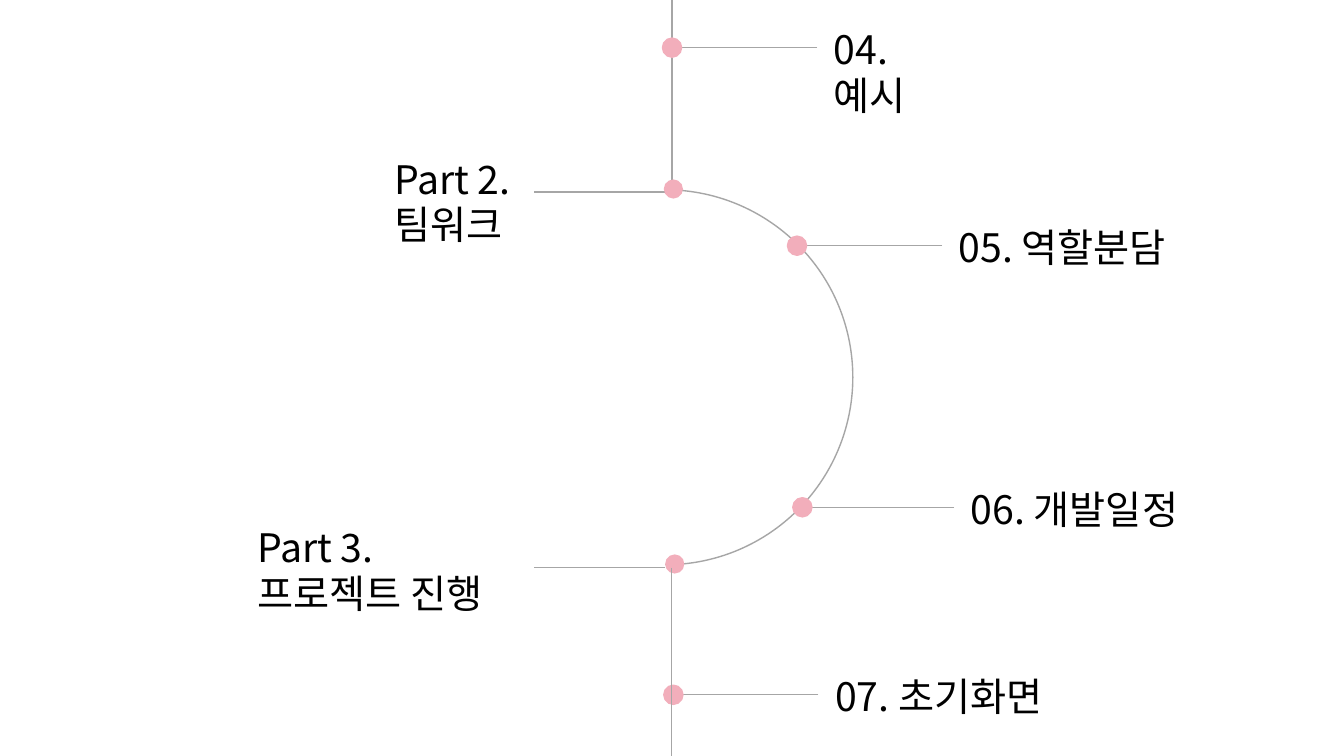
from lxml import etree
from pptx import Presentation, util as u
from pptx.dml.color import RGBColor
from pptx.enum import shapes, text
from pptx.oxml.ns import qn


def rgb(code):
    return RGBColor.from_string(code)


class Roadmap:
    """Style and current slide; positions count on a grid of 100 columns by 100 rows."""
    FONT, SIZE, LEADING = "Noto Sans CJK KR", u.Pt(28), u.Pt(32.8)
    INK, LINE, DOT = "000000", "A6A6A6", "F2AEBB"
    LINE_WIDTH = u.Pt(1)

    def __init__(self, prs):
        self.s = prs.slides.add_slide(prs.slide_layouts[6])
        self.col = prs.slide_width / 100
        self.row = prs.slide_height / 100

    def x(self, cols):
        return u.Emu(round(cols * self.col))

    def y(self, rows):
        return u.Emu(round(rows * self.row))

    def line(self, x1, y1, x2, y2):
        c = self.s.shapes.add_connector(
            shapes.MSO_CONNECTOR.STRAIGHT, self.x(x1), self.y(y1), self.x(x2), self.y(y2))
        c.line.color.rgb = rgb(self.LINE)
        c.line.width = self.LINE_WIDTH
        etree.SubElement(c._element.spPr, qn("a:effectLst"))

    def round_shape(self, kind, cx, cy, radius):
        sp = self.s.shapes.add_shape(
            kind, self.x(cx) - radius, self.y(cy) - radius, 2 * radius, 2 * radius)
        sp.shadow.inherit = False
        return sp

    def bend(self, cx, cy, radius):
        sp = self.round_shape(shapes.MSO_SHAPE.ARC, cx, cy, radius)
        sp.adjustments[0], sp.adjustments[1] = 162, 54  # top to bottom, clockwise
        sp.fill.background()
        sp.line.color.rgb = rgb(self.LINE)
        sp.line.width = self.LINE_WIDTH

    def dot(self, cx, cy, outlined):
        sp = self.round_shape(shapes.MSO_SHAPE.OVAL, cx, cy, u.Inches(0.095))
        sp.fill.solid()
        sp.fill.fore_color.rgb = rgb(self.DOT)
        if outlined:
            sp.line.color.rgb = rgb(self.DOT)
            sp.line.width = self.LINE_WIDTH
        else:
            sp.line.fill.background()

    def label(self, left, top, width, height, *lines):
        sp = self.s.shapes.add_textbox(
            self.x(left), self.y(top), self.x(width), self.y(height))
        tf = sp.text_frame
        tf.word_wrap = True
        tf.vertical_anchor = text.MSO_ANCHOR.TOP
        tf.margin_top = u.Inches(0.1)
        tf.text = "\n".join(lines)
        for p in tf.paragraphs:
            p.line_spacing = self.LEADING
            p.font.name = self.FONT
            p.font.size = self.SIZE
            p.font.color.rgb = rgb(self.INK)
            # East Asian typeface for the Korean letters
            for r in p.runs:
                etree.SubElement(r._r.get_or_add_rPr(), qn("a:ea"), typeface=self.FONT)

    def topic(self, x, y, line_end, width, title):
        self.line(line_end, y, x, y)
        self.dot(x, y, outlined=True)
        self.label(line_end + 0.5, y - 4.1, width, 7.6, title)

    def heading(self, x, y, line_y, left, top, width, *lines):
        self.line(49.5, line_y, 39.7, line_y)
        self.dot(x, y, outlined=False)
        self.label(left, top, width, 13.8, *lines)


def main():
    prs = Presentation()
    prs.slide_width, prs.slide_height = u.Inches(13.33), u.Inches(7.5)
    roadmap = Roadmap(prs)

    # Path: upper spine and bend
    roadmap.line(50, 0, 50, 25)
    roadmap.bend(49.5, 49.9, u.Inches(1.86))

    # Numbered topics on the right
    for topic in (
        (50, 6.3, 60.8, 11, "04. 예시"),
        (59.3, 32.5, 70.1, 18.1, "05. 역할분담"),
        (59.7, 67.1, 71, 18.1, "06. 개발일정"),
        (50.1, 91.9, 60.9, 18.1, "07. 초기화면"),
    ):
        roadmap.topic(*topic)

    # Headings on the left
    roadmap.heading(50.1, 25, 25.4, 28.6, 19.3, 10.7, "Part 2.", "팀워크")
    roadmap.heading(50.2, 74.6, 75.1, 18.4, 68.1, 21.5, "Part 3.", "프로젝트 진행")

    # Lower spine, over the last dot
    roadmap.line(49.95, 75.1, 49.95, 100)

    prs.save("out.pptx")


if __name__ == "__main__":
    main()
